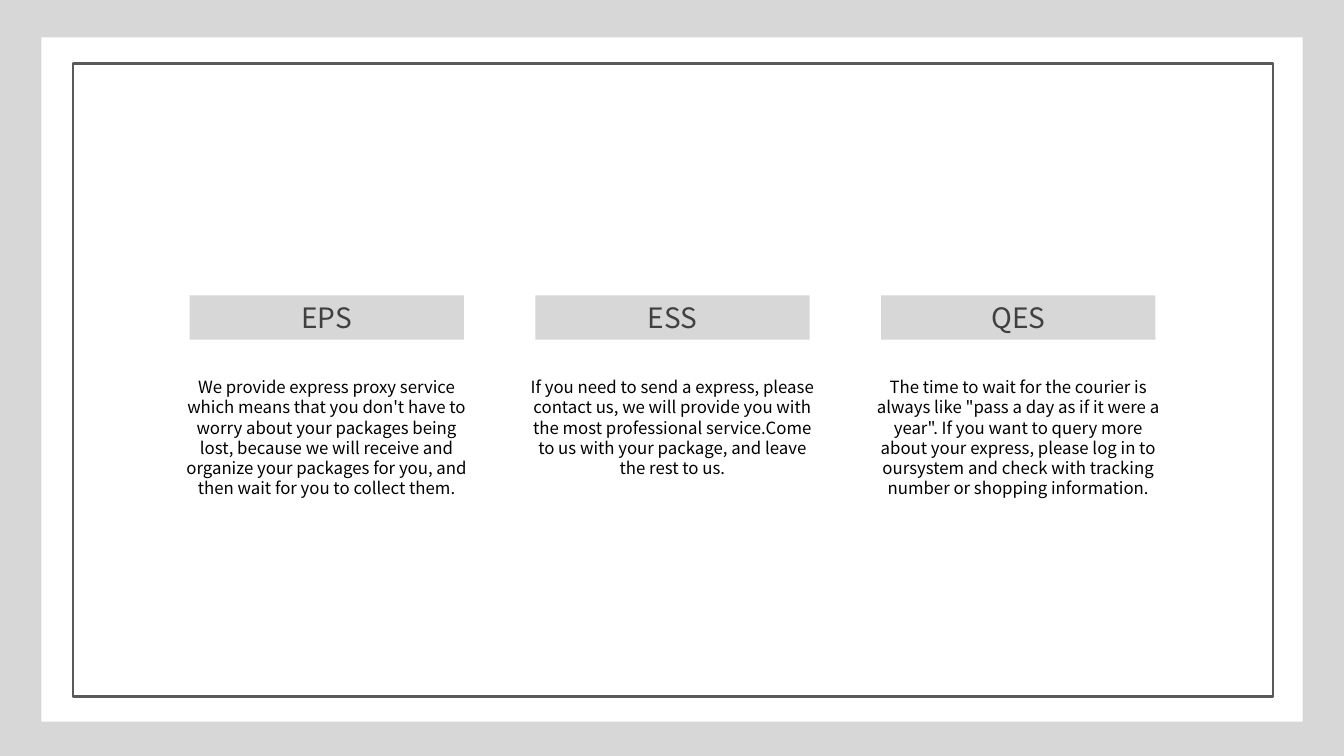
import pptx
import pptx.util
import pptx.dml.color
import pptx.enum.shapes
import pptx.enum.text
from dataclasses import dataclass

Inches = pptx.util.Inches
Pt = pptx.util.Pt


@dataclass(frozen=True)
class Theme:
    font: str = "Noto Sans CJK SC"
    gray: str = "D7D7D7"
    white: str = "FFFFFF"
    edge: str = "595959"
    dark: str = "404040"
    black: str = "000000"
    head: float = 20
    body: float = 12


def color(code):
    return pptx.dml.color.RGBColor.from_string(code)


def write(shape, text, *, font, size, ink, before=0):
    """Put one centred paragraph into a shape."""
    frame = shape.text_frame
    frame.word_wrap = True
    frame.auto_size = pptx.enum.text.MSO_AUTO_SIZE.SHAPE_TO_FIT_TEXT
    para = frame.paragraphs[0]
    para.alignment = pptx.enum.text.PP_ALIGN.CENTER
    para.space_before = Pt(before)
    run = para.add_run()
    run.text = text
    run.font.name = font
    run.font.size = Pt(size)
    run.font.color.rgb = color(ink)


class Page:
    def __init__(self, slide, theme):
        self.slide = slide
        self.theme = theme

    def rect(self, left, top, width, height, fill=None, line=None):
        kind = pptx.enum.shapes.MSO_SHAPE.RECTANGLE
        box = self.slide.shapes.add_shape(
            kind, Inches(left), Inches(top), Inches(width), Inches(height))
        box.shadow.inherit = False
        if fill:
            box.fill.solid()
            box.fill.fore_color.rgb = color(fill)
        else:
            box.fill.background()
        if line:
            box.line.color.rgb = color(line)
            box.line.width = Pt(1.5)
        else:
            box.line.fill.background()
        return box

    def label(self, text, left, top, width, height):
        look = self.theme
        bar = self.rect(left, top, width, height, fill=look.gray)
        write(bar, text, font=look.font, size=look.head, ink=look.dark)

    def note(self, text, left, top, width, height):
        look = self.theme
        box = self.slide.shapes.add_textbox(
            Inches(left), Inches(top), Inches(width), Inches(height))
        write(box, text, font=look.font, size=look.body, ink=look.black,
              before=7.9)


# Label, body text and body height of each column
ITEMS = [
    ("EPS", "We provide express proxy service which means that you don't "
     "have to worry about your packages being lost, because we will receive "
     "and organize your packages for you, and then wait for you to collect "
     "them.", 1.31),
    ("ESS", "If you need to send a express, please contact us, we will "
     "provide you with the most professional service.Come to us with your "
     "package, and leave the rest to us.", 1.11),
    ("QES", "The time to wait for the courier is always like \"pass a day as "
     "if it were a year\". If you want to query more about your express, "
     "please log in to oursystem and check with tracking number or shopping "
     "information.", 1.31),
]


def main():
    deck = pptx.Presentation()
    deck.slide_width = Inches(13.33)
    deck.slide_height = Inches(7.5)
    theme = Theme()
    page = Page(deck.slides.add_slide(deck.slide_layouts[6]), theme)

    # Backdrop, white panel and thin frame
    page.rect(0, 0, 13.33, 7.54, fill=theme.gray)
    page.rect(0.41, 0.37, 12.51, 6.79, fill=theme.white)
    page.rect(0.72, 0.63, 11.91, 6.28, line=theme.edge)

    # Three equal columns
    for col, (name, text, height) in enumerate(ITEMS):
        mid = 3.24 + 3.43 * col
        page.label(name, mid - 1.36, 2.93, 2.72, 0.44)
        page.note(text, mid - 1.55, 3.69, 3.1, height)

    deck.save("out.pptx")


if __name__ == "__main__":
    main()
